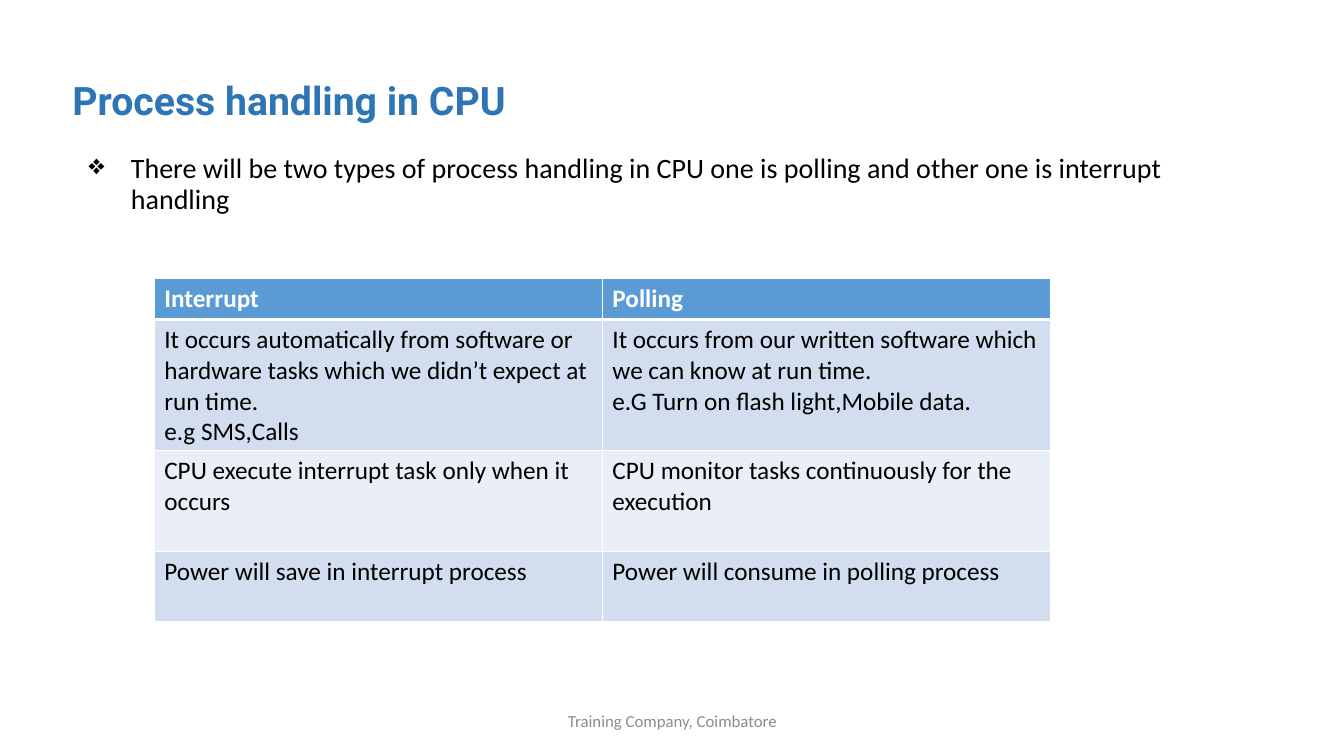
from lxml import etree
from pptx import Presentation
from pptx.dml.color import RGBColor
from pptx.enum import text
from pptx.oxml import ns
from pptx.util import Inches, Pt


def color(value):
    return RGBColor.from_string(value)


class SlideBuilder:
    font = "Calibri"
    ink, white, title_blue, gray = "000000", "FFFFFF", "2E75B6", "8C8C8C"
    header_fill, row_fills = "5B9BD5", ("D2DEEF", "EAEFF7")

    def __init__(self, page):
        self.page = page

    def style(self, para, size, shade, bold=False, font=None):
        for span in para.runs:
            span.font.name = font or self.font
            span.font.size = Pt(size)
            span.font.bold = bold
            span.font.color.rgb = color(shade)

    def text_box(self, place, words, size, shade, bold=False, font=None,
                 anchor=text.MSO_ANCHOR.TOP, align=text.PP_ALIGN.LEFT, spacing=1.0):
        box = self.page.shapes.add_textbox(*map(Inches, place))
        frame = box.text_frame
        frame.word_wrap = True
        frame.vertical_anchor = anchor
        frame.text = words
        para = frame.paragraphs[0]
        para.alignment = align
        para.line_spacing = spacing
        self.style(para, size, shade, bold, font)
        return para

    def bullet(self, para, sign, indent):
        props = para._p.get_or_add_pPr()
        props.set("marL", str(Inches(indent)))
        props.set("indent", str(-Inches(indent)))
        etree.SubElement(props, ns.qn("a:buChar")).set("char", sign)

    def borders(self, cell, widths):
        props = cell._tc.get_or_add_tcPr()
        for side, width in zip("LRTB", widths):
            line = etree.SubElement(props, ns.qn(f"a:ln{side}"), w=str(Pt(width)))
            solid = etree.SubElement(line, ns.qn("a:solidFill"))
            etree.SubElement(solid, ns.qn("a:srgbClr"), val=self.white)

    def table(self, place, rows, heights):
        grid = self.page.shapes.add_table(len(rows), len(rows[0]), *map(Inches, place)).table
        for row, height in zip(grid.rows, heights):
            row.height = Inches(height)
        for r, row in enumerate(rows):
            header = r == 0
            for c, words in enumerate(row):
                cell = grid.cell(r, c)
                # The rule below the header is thicker than the others
                self.borders(cell, (1, 1, 3 if r == 1 else 1, 3 if header else 1))
                cell.fill.solid()
                cell.fill.fore_color.rgb = color(
                    self.header_fill if header else self.row_fills[(r - 1) % 2])
                cell.text_frame.text = words
                for para in cell.text_frame.paragraphs:
                    self.style(para, 18, self.white if header else self.ink, header)


deck = Presentation()
deck.slide_width, deck.slide_height = Inches(13.33), Inches(7.5)
slide = SlideBuilder(deck.slides.add_slide(deck.slide_layouts[6]))

# Title
slide.text_box((0.62, 0.61, 7.26, 0.67), "Process handling in CPU", 28, slide.title_blue,
               bold=True, font="Roboto", anchor=text.MSO_ANCHOR.BOTTOM, spacing=0.9)

# Introduction
intro = slide.text_box(
    (0.78, 1.47, 11.75, 0.8),
    "There will be two types of process handling in CPU one is polling "
    "and other one is interrupt handling", 20, slide.ink, spacing=0.94)
slide.bullet(intro, "❖", 0.42)

# Comparison of interrupt and polling
comparison = [
    ("Interrupt", "Polling"),
    ("It occurs automatically from software or hardware tasks which we "
     "didn’t expect at run time.\ne.g SMS,Calls",
     "It occurs from our written software which we can know at run time.\n"
     "e.G Turn on flash light,Mobile data."),
    ("CPU execute interrupt task only when it occurs",
     "CPU monitor tasks continuously for the execution"),
    ("Power will save in interrupt process", "Power will consume in polling process"),
]
slide.table((1.53, 2.76, 8.89, 3.4), comparison, (0.41, 1.29, 1.0, 0.7))

# Footer
slide.text_box((4.42, 6.95, 4.5, 0.4), "Training Company, Coimbatore", 12, slide.gray,
               anchor=text.MSO_ANCHOR.MIDDLE, align=text.PP_ALIGN.CENTER)

deck.save("out.pptx")
